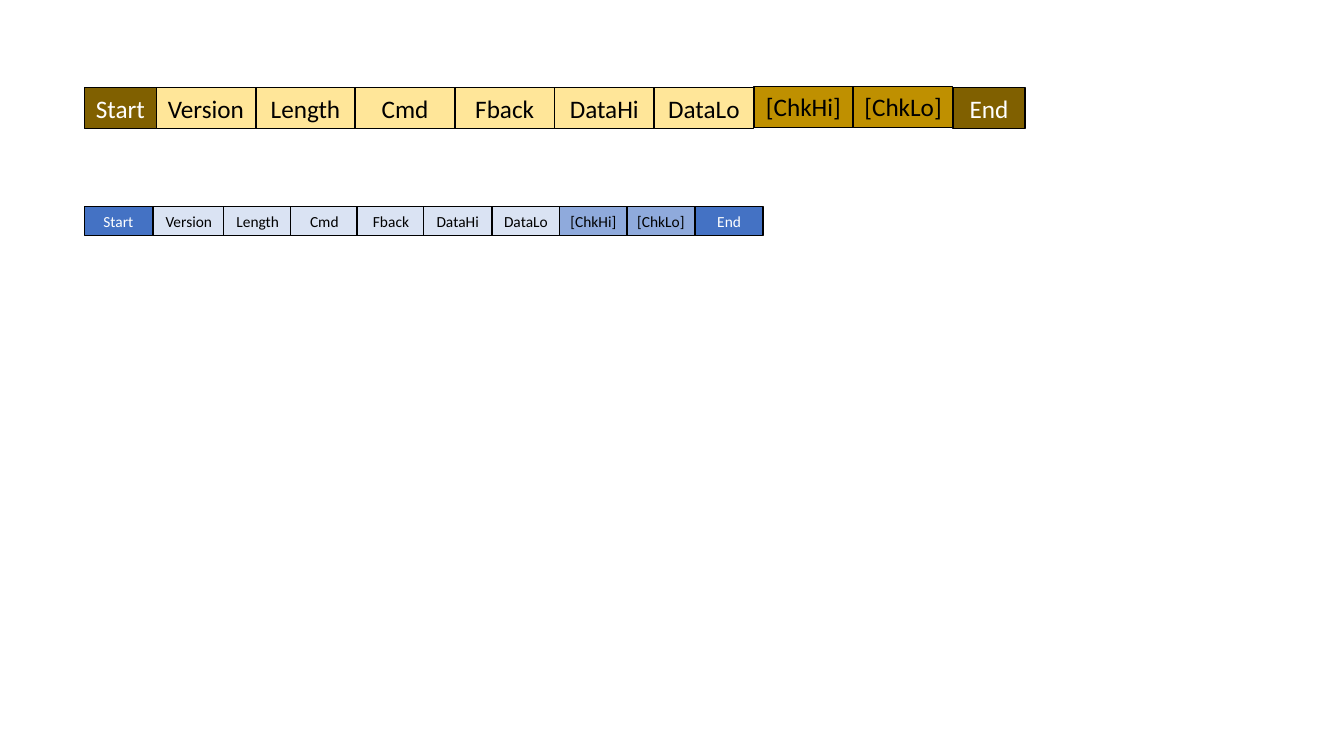
from dataclasses import dataclass
from itertools import accumulate

from pptx import Presentation
from pptx import util as u
from pptx.dml.color import RGBColor
from pptx.enum import shapes, text


@dataclass(frozen=True)
class Theme:
    font: str = "Calibri"
    black: str = "000000"
    white: str = "FFFFFF"
    line_width: float = 1
    large: int = 18
    small: int = 11
    # Fill colours by the role of a field
    gold = {"frame": "806000", "body": "FFE699", "check": "BF9000"}
    blue = {"frame": "4472C4", "body": "DAE3F3", "check": "8FAADC"}


THEME = Theme()
LEFT = 2.13

FIELDS = [
    ("Start", "frame"),
    ("Version", "body"),
    ("Length", "body"),
    ("Cmd", "body"),
    ("Fback", "body"),
    ("DataHi", "body"),
    ("DataLo", "body"),
    ("[ChkHi]", "check"),
    ("[ChkLo]", "check"),
    ("End", "frame"),
]


def set_format(target, values):
    for name, value in values.items():
        setattr(target, name, value)


def add_field(group, label, box, fill, color, size):
    """Add one outlined, labelled field of a packet."""
    shape = group.shapes.add_shape(
        shapes.MSO_SHAPE.RECTANGLE, *(u.Cm(length) for length in box))
    shape.shadow.inherit = False
    shape.fill.solid()
    shape.fill.fore_color.rgb = RGBColor.from_string(fill)
    shape.line.color.rgb = RGBColor.from_string(THEME.black)
    shape.line.width = u.Pt(THEME.line_width)

    frame = shape.text_frame
    set_format(frame, {
        "word_wrap": True,
        "auto_size": text.MSO_AUTO_SIZE.SHAPE_TO_FIT_TEXT,
        "vertical_anchor": text.MSO_ANCHOR.MIDDLE,
    })
    paragraph = frame.paragraphs[0]
    paragraph.alignment = text.PP_ALIGN.CENTER
    run = paragraph.add_run()
    run.text = label
    set_format(run.font, {"name": THEME.font, "size": u.Pt(size)})
    run.font.color.rgb = RGBColor.from_string(color)


def add_packet(slide, top, height, steps, widths, fills, size, check_rise=0):
    """Add a grouped row of fields; steps are the distances between left edges."""
    group = slide.shapes.add_group_shape()
    lefts = accumulate(steps, initial=LEFT)
    for (label, role), left, width in zip(FIELDS, lefts, widths):
        field_top = top - check_rise if role == "check" else top
        color = THEME.white if role == "frame" else THEME.black
        add_field(group, label, (left, field_top, width, height),
                  fills[role], color, size)


def main():
    presentation = Presentation()
    set_format(presentation, {
        "slide_width": u.Cm(33.87), "slide_height": u.Cm(19.05)})
    slide = presentation.slides.add_slide(presentation.slide_layouts[6])

    # Large gold packet
    add_packet(slide, top=2.21, height=1.03,
               steps=[1.81] + [2.51] * 8,
               widths=[1.81] + [2.5] * 8 + [1.81],
               fills=THEME.gold, size=THEME.large, check_rise=0.03)

    # Small blue packet
    add_packet(slide, top=5.21, height=0.73,
               steps=[1.73, 1.78] + [1.68] * 3 + [1.72, 1.7, 1.7, 1.72],
               widths=[1.71, 1.8] + [1.71] * 8,
               fills=THEME.blue, size=THEME.small)

    presentation.save("out.pptx")


main()
